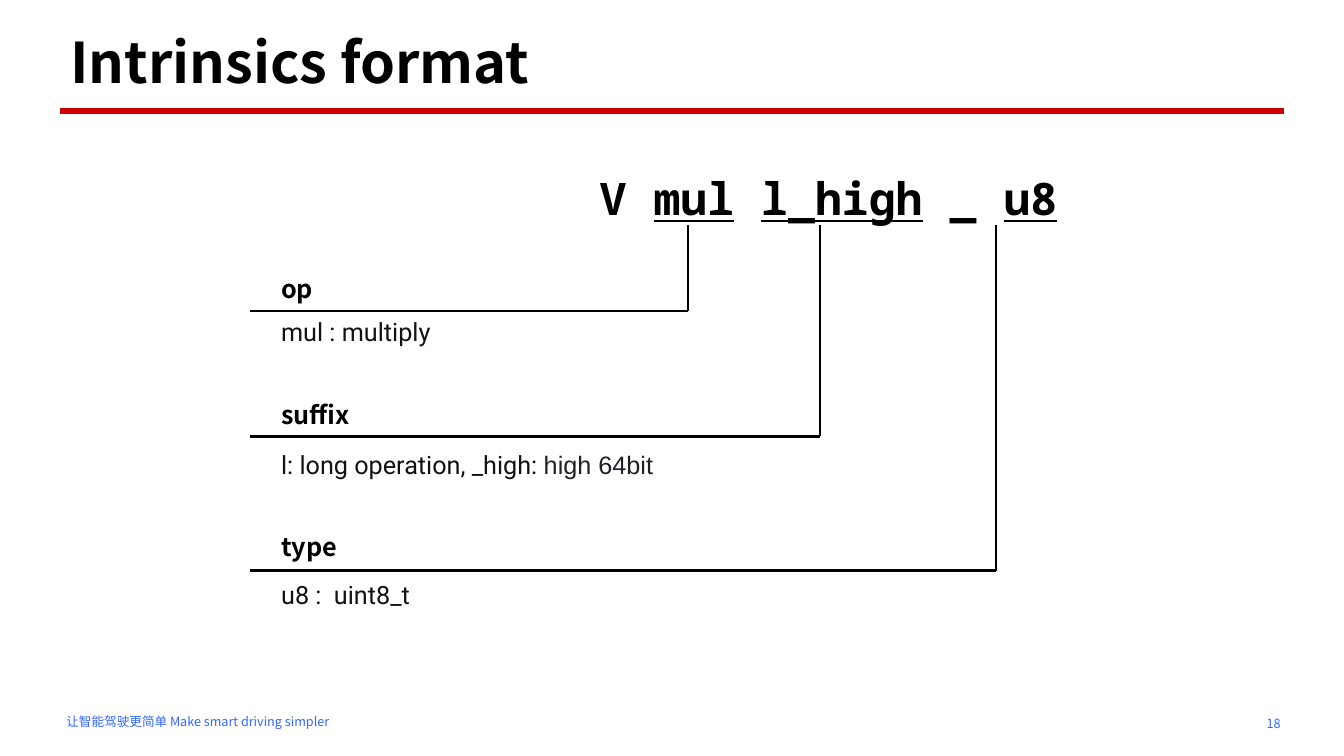
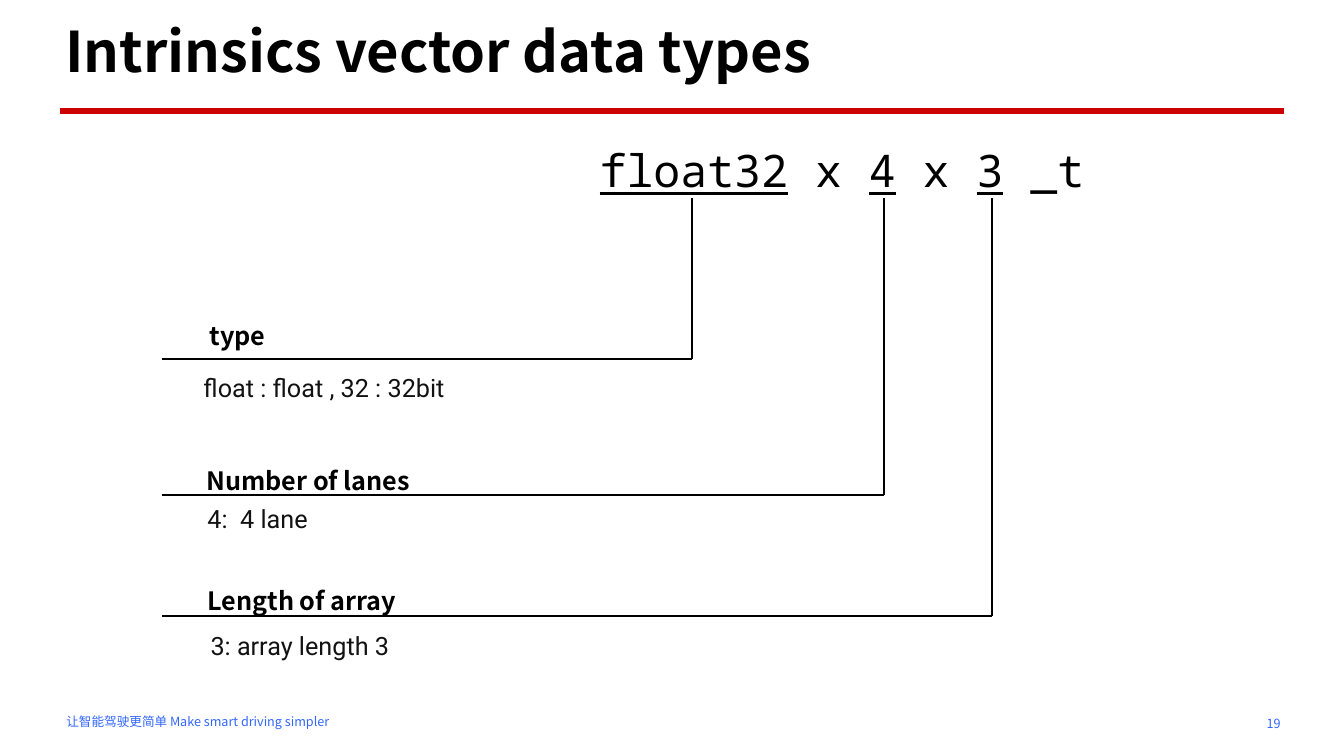
from dataclasses import dataclass

from lxml import etree
from pptx import Presentation
from pptx.dml.color import RGBColor
from pptx.enum import shapes, text
from pptx.oxml import ns
from pptx.util import Inches, Pt

BLACK = RGBColor(0x00, 0x00, 0x00)
RED = RGBColor(0xCC, 0x00, 0x00)
BLUE = RGBColor(0x32, 0x66, 0xFE)
INK = RGBColor(0x12, 0x12, 0x12)
GREY = RGBColor(0x20, 0x21, 0x24)
SANS = "Noto Sans CJK SC"
MONO = "Noto Sans Mono"
BODY = "Roboto"
FOOTER = "让智能驾驶更简单 Make smart driving simpler"


@dataclass
class Style:
    """Look of one run of text."""
    size: float
    font: str
    color: RGBColor = BLACK
    bold: bool = False
    underline: bool = False


@dataclass
class Callout:
    """A line that drops from the code and turns left, with a heading and a detail.

    Offsets are measured from the left end of the horizontal rule.
    """
    drop: float
    rule: float
    heading: str
    heading_offset: tuple
    detail: list
    detail_offset: tuple


TITLE = Style(40, SANS, bold=True)
SMALL = Style(9, SANS, BLUE)
HEADING = Style(18, SANS, bold=True)
DETAIL = Style(18, BODY, INK)
DETAIL_GREY = Style(18, "Arial", GREY)
CODE = Style(32, MONO)
CODE_LINED = Style(32, MONO, underline=True)
BOLD_CODE = Style(32, MONO, bold=True)
BOLD_LINED = Style(32, MONO, bold=True, underline=True)


def add_text(page, box, runs, anchor=text.MSO_ANCHOR.TOP,
             align=text.PP_ALIGN.LEFT, spacing=None):
    """Place a one-paragraph text box and return nothing."""
    frame = page.shapes.add_textbox(*map(Inches, box)).text_frame
    frame.word_wrap = True
    frame.vertical_anchor = anchor
    para = frame.paragraphs[0]
    para.alignment = align
    para.line_spacing = spacing
    for words, style in runs:
        span = para.add_run()
        span.text = words
        font = span.font
        font.size = Pt(style.size)
        font.name = style.font
        font.bold = style.bold
        font.underline = style.underline
        font.color.rgb = style.color
        east_asian = etree.SubElement(span._r.get_or_add_rPr(), ns.qn("a:ea"))
        east_asian.set("typeface", style.font)


def add_line(page, start, end, color=BLACK, width=1.5):
    """Draw a straight line without a shadow."""
    line = page.shapes.add_connector(
        shapes.MSO_CONNECTOR.STRAIGHT, *map(Inches, start + end))
    line.line.color.rgb = color
    line.line.width = Pt(width)
    etree.SubElement(line._element.spPr, ns.qn("a:effectLst"))


def add_frame(page, title, title_box, number):
    """Add the title, red rule, footer and page number."""
    add_text(page, (9.8, 6.98, 3, 0.4), [(str(number), SMALL)],
             text.MSO_ANCHOR.MIDDLE, text.PP_ALIGN.RIGHT)
    add_text(page, (0.56, 7.03, 6.01, 0.25), [(FOOTER, SMALL)])
    add_text(page, title_box, [(title, TITLE)],
             text.MSO_ANCHOR.BOTTOM, spacing=0.9)
    add_line(page, (0.6, 1.1), (12.74, 1.1), RED, 4.5)


def add_callout(page, left, top, callout):
    """Draw one callout from the code at top to its rule ending at left."""
    corner = (callout.drop, callout.rule)
    add_line(page, (callout.drop, top), corner)
    add_line(page, corner, (left, callout.rule))
    labels = ((callout.heading_offset, [(callout.heading, HEADING)]),
              (callout.detail_offset, callout.detail))
    for (across, down), runs in labels:
        add_text(page, (left + across, callout.rule + down, 6.67, 0.4), runs)


def add_anatomy(page, code_box, code, left, callouts):
    """Add a line of code and the callouts that explain its parts."""
    add_text(page, code_box, code)
    code_bottom = code_box[1] + code_box[3] - 0.05
    for callout in callouts:
        add_callout(page, left, code_bottom, callout)


def add_format_slide(page):
    """Build the slide on the format of intrinsics."""
    add_frame(page, "Intrinsics format", (0.6, 0.2, 5.18, 0.8), 18)
    code = [("V ", BOLD_CODE), ("mul", BOLD_LINED), (" ", BOLD_CODE),
            ("l_high", BOLD_LINED), (" _ ", BOLD_CODE), ("u8", BOLD_LINED)]
    add_anatomy(page, (5.85, 1.64, 6.76, 0.64), code, 2.48, [
        Callout(6.82, 3.09, "op", (0.21, -0.43),
                [("mul : multiply", DETAIL)], (0.21, 0)),
        Callout(8.13, 4.33, "suffix", (0.21, -0.42),
                [("l: long operation, _high: ", DETAIL),
                 ("high 64bit", DETAIL_GREY)], (0.21, 0.08)),
        Callout(9.88, 5.66, "type", (0.21, -0.44),
                [("u8 :  uint8_t", DETAIL)], (0.21, 0.04)),
    ])


def add_types_slide(page):
    """Build the slide on vector data types."""
    add_frame(page, "Intrinsics vector data types", (0.55, 0, 8, 0.89), 19)
    code = [("float32", CODE_LINED), (" x ", CODE), ("4", CODE_LINED),
            (" x ", CODE), ("3", CODE_LINED), (" _t", CODE)]
    add_anatomy(page, (5.85, 1.37, 5.5, 0.64), code, 1.61, [
        Callout(6.86, 3.56, "type", (0.37, -0.43),
                [("float : float , 32 : 32bit", DETAIL)], (0.31, 0.08)),
        Callout(8.77, 4.91, "Number of lanes", (0.34, -0.34),
                [("4:  4 lane", DETAIL)], (0.35, 0.03)),
        Callout(9.84, 6.11, "Length of array", (0.35, -0.35),
                [("3: array length 3", DETAIL)], (0.38, 0.09)),
    ])


def main():
    """Build and save the deck."""
    deck = Presentation()
    deck.slide_width = Inches(13.33)
    deck.slide_height = Inches(7.5)
    for build in (add_format_slide, add_types_slide):
        build(deck.slides.add_slide(deck.slide_layouts[6]))
    deck.save("out.pptx")


if __name__ == "__main__":
    main()
